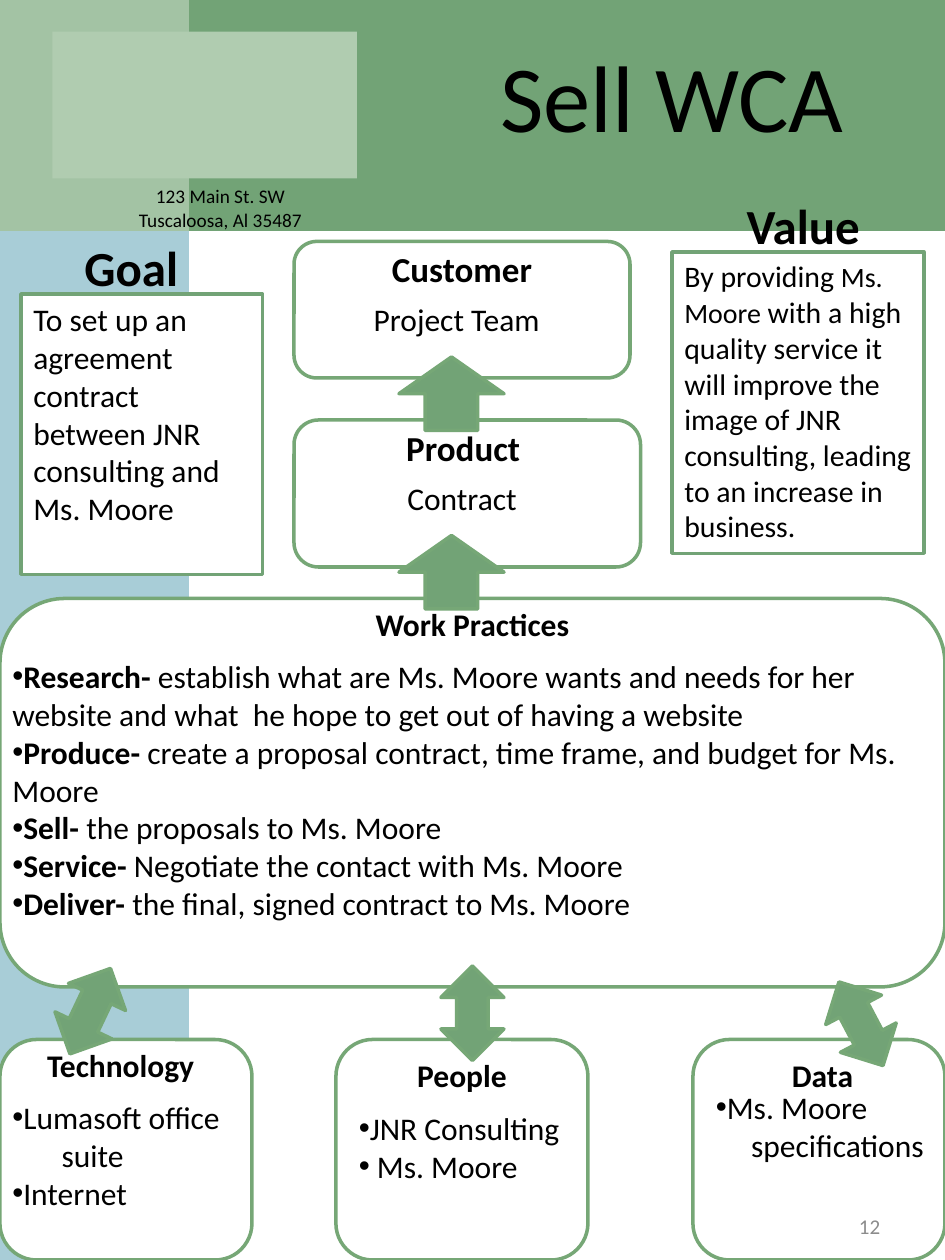
from dataclasses import dataclass

from lxml.etree import SubElement
from pptx import Presentation
from pptx.dml.color import RGBColor
from pptx.enum.shapes import MSO_SHAPE
from pptx.enum.text import MSO_ANCHOR, PP_ALIGN
from pptx.oxml.ns import qn
from pptx.util import Inches, Pt


@dataclass(frozen=True)
class Theme:
    green: str = "72A376"
    border: str = "76A776"
    pale_green: str = "B0CCB0"
    blue: str = "A8CDD7"
    white: str = "FFFFFF"
    black: str = "000000"
    gray: str = "8C8C8C"
    font: str = "Calibri"
    title: int = 54
    heading: int = 28
    box_heading: int = 20
    body: int = 18
    value: int = 17
    small: int = 16
    number: int = 12
    address: int = 11
    line: int = 2


@dataclass(frozen=True)
class Item:
    """A paragraph: optional bold lead, then text, as a bullet or an indented line."""
    text: str
    lead: str = ""
    bullet: bool = True
    indent: float = 0


class Page:
    """Places elements on a grid of 90 columns by 120 rows."""

    def __init__(self, deck, theme):
        self.slide = deck.slides.add_slide(deck.slide_layouts[6])
        self.theme = theme
        self.cell_width = deck.slide_width / 90
        self.cell_height = deck.slide_height / 120

    def place(self, column, row, columns, rows):
        return (round(column * self.cell_width), round(row * self.cell_height),
                round(columns * self.cell_width), round(rows * self.cell_height))

    def shape(self, kind, area, fill, line=None, rotation=0, alpha=None):
        shape = self.slide.shapes.add_shape(kind, *self.place(*area))
        shape.shadow.inherit = False
        shape.rotation = rotation
        shape.fill.solid()
        shape.fill.fore_color.rgb = RGBColor.from_string(fill)
        if alpha:
            color = shape.fill._xPr.find(qn("a:solidFill"))[0]
            SubElement(color, qn("a:alpha")).set("val", str(alpha * 1000))
        if line:
            shape.line.color.rgb = RGBColor.from_string(line)
            shape.line.width = Pt(self.theme.line)
        else:
            shape.line.fill.background()
        return shape

    def band(self, area, fill, alpha=None):
        self.shape(MSO_SHAPE.RECTANGLE, area, fill, alpha=alpha)

    def rounded(self, area):
        self.shape(MSO_SHAPE.ROUNDED_RECTANGLE, area, self.theme.white, self.theme.border)

    def arrow(self, kind, area, rotation=0):
        self.shape(kind, area, self.theme.green, self.theme.border, rotation)

    def style(self, font, size, color=None, bold=None):
        font.size = Pt(size)
        font.name = self.theme.font
        font.color.rgb = RGBColor.from_string(color or self.theme.black)
        font.bold = bold

    def label(self, area, lines, size, color=None, bold=None,
              align=PP_ALIGN.CENTER, anchor=MSO_ANCHOR.TOP):
        frame = self.slide.shapes.add_textbox(*self.place(*area)).text_frame
        frame.word_wrap = True
        frame.vertical_anchor = anchor
        frame.text = "\n".join(lines)
        for para in frame.paragraphs:
            para.alignment = align
            self.style(para.font, size, color, bold)

    def bullets(self, area, items):
        frame = self.slide.shapes.add_textbox(*self.place(*area)).text_frame
        frame.word_wrap = True
        for index, item in enumerate(items):
            para = frame.add_paragraph() if index else frame.paragraphs[0]
            properties = para._p.get_or_add_pPr()
            properties.set("marL", str(Inches(item.indent)))
            properties.set("indent", "0")
            if item.bullet:
                SubElement(properties, qn("a:buFont")).set("typeface", "Arial")
                SubElement(properties, qn("a:buChar")).set("char", "•")
            self.style(para.font, self.theme.body)
            if item.lead:
                span = para.add_run()
                span.text = item.lead
                span.font.bold = True
            para.add_run().text = item.text

    def panel(self, area, spans):
        """Bordered box with one paragraph of (text, size) spans."""
        box = self.shape(MSO_SHAPE.RECTANGLE, area, self.theme.white, self.theme.green)
        frame = box.text_frame
        frame.word_wrap = True
        frame.vertical_anchor = MSO_ANCHOR.TOP
        para = frame.paragraphs[0]
        para.alignment = PP_ALIGN.LEFT
        self.style(para.font, spans[0][1])
        for text, size in spans:
            span = para.add_run()
            span.text = text
            span.font.size = Pt(size)
            span.font.color.rgb = RGBColor.from_string(self.theme.black)


def main():
    deck = Presentation()
    deck.slide_width, deck.slide_height = Inches(7.5), Inches(10)
    theme = Theme()
    page = Page(deck, theme)

    # Background bands
    page.band((0, 8, 18, 112), theme.blue)
    page.band((0, 0, 90, 22), theme.green)
    page.band((0, 0, 18, 22), theme.pale_green, alpha=80)

    # Letterhead: plain block, address and title
    page.band((5, 3, 29, 14), theme.pale_green)
    page.label((0, 17, 42, 5.6), ["123 Main St. SW", "Tuscaloosa, Al 35487"], theme.address)
    page.label((38, 3, 52, 12), ["Sell WCA"], theme.title)

    # Rounded boxes, then the arrows that link them
    for column in (66, 32, 0):
        page.rounded((column, 99, 24, 21))
    page.rounded((0, 57, 90, 37))
    page.rounded((28, 23, 32, 13))
    page.rounded((28, 40, 33, 14))
    for column, row, rotation in ((5.6, 91.8, 25.4), (42, 92, 0), (79, 93, 332.2)):
        page.arrow(MSO_SHAPE.UP_DOWN_ARROW, (column, row, 6, 9), rotation)
    for row in (34, 51):
        page.arrow(MSO_SHAPE.UP_ARROW, (38, row, 10, 7))

    # Headings
    for text, area, size in (
        ("Customer", (28, 23, 32, 5.2), theme.box_heading),
        ("Product ", (29, 40, 31, 5.2), theme.box_heading),
        ("Work Practices", (0, 57, 90, 4.8), theme.body),
        ("Technology", (0, 99, 23, 4.8), theme.body),
        ("People", (33, 100, 22, 4.8), theme.body),
        (" Data", (66, 100, 24, 4.8), theme.body),
        ("Value", (68, 18, 17, 6.9), theme.heading),
        ("Goal", (4, 22, 17, 6.9), theme.heading),
    ):
        page.label(area, [text], size, bold=True)

    # Goal and value
    page.panel((2, 28, 23, 26.7), [
        ("To set up an agreement contract between JNR consulting and Ms. Moore", theme.body)])
    page.panel((64, 24, 24, 28.7), [
        ("By providing ", theme.value),
        ("Ms. Moore", theme.small),
        (" with a high quality service it will improve the image of JNR consulting, "
         "leading to an increase in business.", theme.value)])

    # Customer and product
    page.label((28, 28, 31, 4.8), ["Project Team"], theme.body)
    page.label((28, 45, 32, 4.8), ["Contract"], theme.body)

    # Work practices
    page.bullets((0, 62, 90, 30.2), [
        Item(" establish what are Ms. Moore wants and needs for her website and what  he hope "
             "to get out of having a website", "Research-"),
        Item(" create a proposal contract, time frame, and budget for Ms. Moore", "Produce-"),
        Item(" the proposals to Ms. Moore", "Sell-"),
        Item(" Negotiate the contact with Ms. Moore", "Service-"),
        Item(" the final, signed contract to Ms. Moore", "Deliver-")])

    # Data, people and technology
    page.bullets((67, 103, 23, 8.5), [
        Item("Ms. Moore"), Item("specifications", bullet=False, indent=0.28)])
    page.bullets((33, 105, 22, 8.5), [Item("JNR Consulting"), Item(" Ms. Moore")])
    page.bullets((0, 104, 23, 12.1), [
        Item("Lumasoft office"), Item("suite", bullet=False, indent=0.39), Item("Internet")])

    # Page number
    page.label((64, 113.6, 21, 6.4), ["12"], theme.number, theme.gray,
               align=PP_ALIGN.RIGHT, anchor=MSO_ANCHOR.MIDDLE)

    deck.save("out.pptx")


if __name__ == "__main__":
    main()
